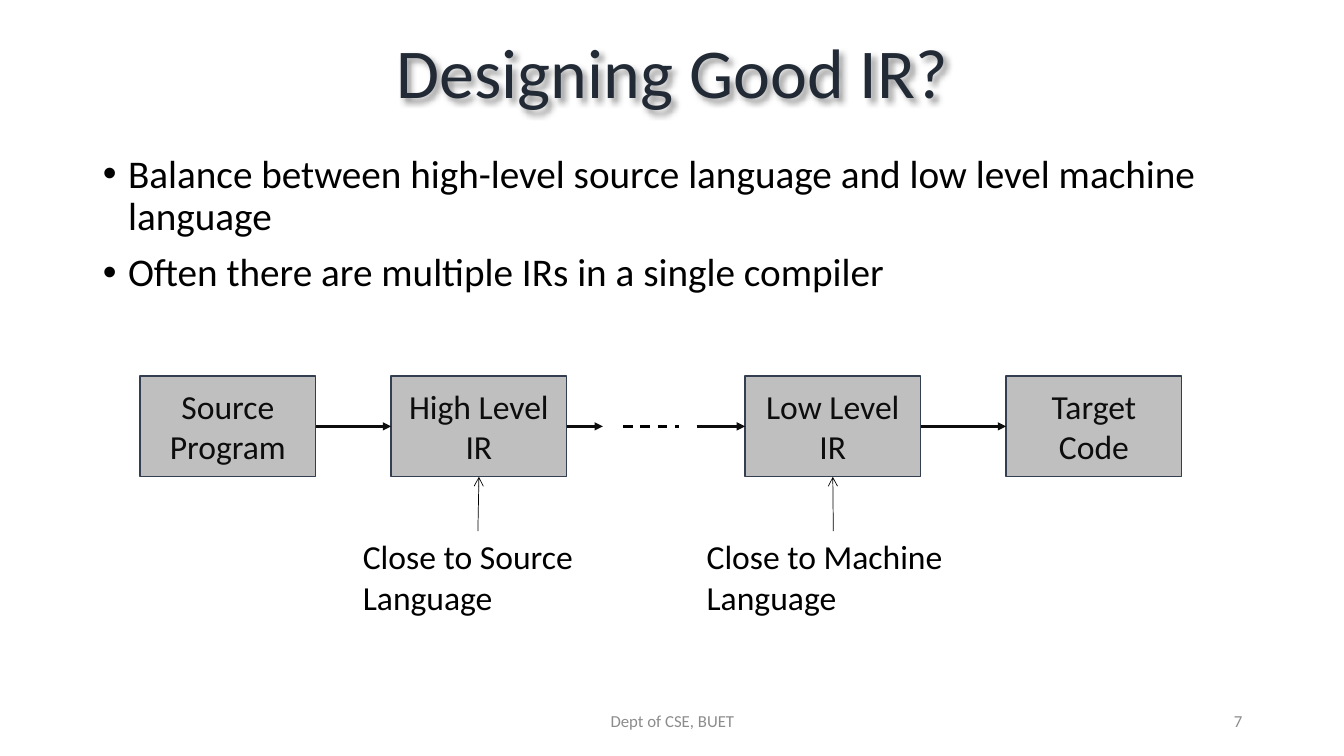
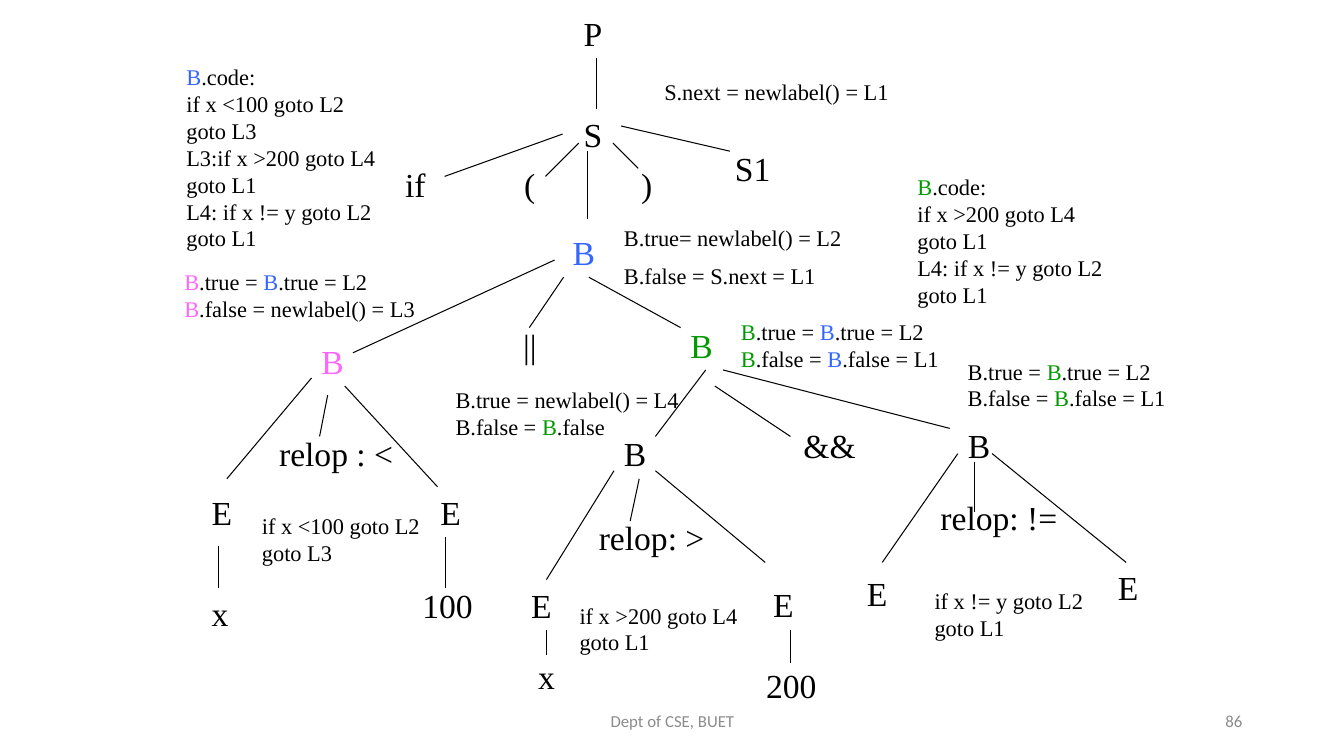
from dataclasses import dataclass

from lxml.etree import SubElement
from pptx import Presentation
from pptx.dml.color import RGBColor
from pptx.enum.dml import MSO_LINE
from pptx.enum.shapes import MSO_CONNECTOR, MSO_SHAPE
from pptx.enum.text import MSO_ANCHOR, MSO_AUTO_SIZE, PP_ALIGN
from pptx.oxml import parse_xml
from pptx.oxml.ns import nsdecls, qn
from pptx.util import Pt

PX = 9144  # 100 px to the inch
SANS, SERIF = "Calibri", "Times New Roman"
BLACK = RGBColor(0x00, 0x00, 0x00)
INK = RGBColor(0x0D, 0x0D, 0x0D)
NAVY = RGBColor(0x22, 0x2A, 0x35)
SLATE = RGBColor(0x33, 0x3F, 0x50)
SILVER = RGBColor(0xBF, 0xBF, 0xBF)
GREY = RGBColor(0x8C, 0x8C, 0x8C)
BLUE = RGBColor(0x33, 0x66, 0xFF)
PINK = RGBColor(0xFF, 0x66, 0xFF)
GREEN = RGBColor(0x00, 0x99, 0x00)
BLUE_B, PINK_B, GREEN_B = ("B", BLUE), ("B", PINK), ("B", GREEN)

TITLE_SHADOW = (
    f'<a:effectLst {nsdecls("a")}><a:outerShdw blurRad="50800" dist="38100" '
    'dir="2700000" algn="tl" rotWithShape="0"><a:srgbClr val="000000">'
    '<a:alpha val="40000"/></a:srgbClr></a:outerShdw></a:effectLst>'
)


def px(*lengths):
    return [n * PX for n in lengths]


def style(font, size, color, name=SANS):
    font.size, font.name = Pt(size), name
    font.color.rgb = color


def add_text(slide, box, lines, size, name=SANS, color=BLACK, align=PP_ALIGN.LEFT,
             anchor=MSO_ANCHOR.TOP, wrap=False, grow=True, gap=0):
    """Each line is a string or a sequence of strings and (text, colour) pairs."""
    sp = slide.shapes.add_textbox(*px(*box))
    tf = sp.text_frame
    tf.word_wrap, tf.vertical_anchor = wrap, anchor
    tf.auto_size = MSO_AUTO_SIZE.SHAPE_TO_FIT_TEXT if grow else MSO_AUTO_SIZE.NONE
    for i, line in enumerate(lines):
        p = tf.add_paragraph() if i else tf.paragraphs[0]
        p.alignment = align
        if i and gap:
            p.space_before = Pt(gap)
        for piece in [line] if isinstance(line, str) else line:
            text, run_color = (piece, color) if isinstance(piece, str) else piece
            r = p.add_run()
            r.text = text
            style(r.font, size, run_color, name)
    return sp


def add_line(slide, ends, color=BLACK, width=0.75, dash=None, head=None,
             start=None, end=None):
    """start and end are optional (shape, side) pairs to join."""
    cxn = slide.shapes.add_connector(MSO_CONNECTOR.STRAIGHT, *px(*ends))
    if start:
        cxn.begin_connect(*start)
    if end:
        cxn.end_connect(*end)
    cxn.line.color.rgb, cxn.line.width = color, Pt(width)
    if dash:
        cxn.line.dash_style = dash
    if head:
        SubElement(cxn.line._get_or_add_ln(), qn("a:tailEnd"), type=head)
    SubElement(cxn._element.spPr, qn("a:effectLst"))


def add_footer(slide, number):
    for box, text, align in (((442, 695, 450, 40), "Dept of CSE, BUET", PP_ALIGN.CENTER),
                             ((942, 695, 300, 40), str(number), PP_ALIGN.RIGHT)):
        add_text(slide, box, [text], 12, color=GREY, align=align,
                 anchor=MSO_ANCHOR.MIDDLE, wrap=True, grow=False)


def place(sp, box):
    sp.left, sp.top, sp.width, sp.height = px(*box)


def fill_title(sp, box, text):
    place(sp, box)
    sp.fill.background()
    sp._element.spPr.append(parse_xml(TITLE_SHADOW))
    tf = sp.text_frame
    tf.text, tf.vertical_anchor = text, MSO_ANCHOR.MIDDLE
    p = tf.paragraphs[0]
    p.alignment, p.line_spacing = PP_ALIGN.CENTER, 0.9
    style(p.runs[0].font, 50, NAVY)


def fill_bullets(sp, box, items):
    place(sp, box)
    tf = sp.text_frame
    tf.auto_size = MSO_AUTO_SIZE.NONE
    for i, item in enumerate(items):
        p = tf.add_paragraph() if i else tf.paragraphs[0]
        p.text, p.line_spacing = item, 0.9
        p.space_before = Pt(10 if i else 0)
        pPr = p._p.get_or_add_pPr()
        pPr.set("marL", str(25 * PX))
        pPr.set("indent", str(-25 * PX))
        SubElement(pPr, qn("a:buFont"), typeface="Arial")
        SubElement(pPr, qn("a:buChar"), char="•")
        style(p.runs[0].font, 28, BLACK)


def draw_stage(slide, box, text):
    sp = slide.shapes.add_shape(MSO_SHAPE.RECTANGLE, *px(*box))
    sp.shadow.inherit = False
    sp.fill.solid()
    sp.fill.fore_color.rgb = SILVER
    sp.line.color.rgb, sp.line.width = SLATE, Pt(1)
    tf = sp.text_frame
    tf.text, tf.word_wrap, tf.vertical_anchor = text, True, MSO_ANCHOR.MIDDLE
    p = tf.paragraphs[0]
    p.alignment = PP_ALIGN.CENTER
    style(p.runs[0].font, 24, INK)
    return sp


def draw_pipeline(slide, x, y):
    w, h = 174, 100
    mid = y + h // 2
    source, high, low, target = [
        draw_stage(slide, (x + dx, y, w, h), text)
        for dx, text in ((0, "Source Program"), (249, "High Level IR"),
                         (600, "Low Level IR"), (859, "Target Code"))]
    for x1, x2, start, end in ((w, 249, (source, 3), (high, 1)),
                               (774, 859, (low, 3), (target, 1)),
                               (423, 459, (high, 3), None),
                               (552, 600, None, (low, 1))):
        add_line(slide, (x + x1, mid, x + x2, mid), INK, 1.75, head="triangle",
                 start=start, end=end)
    add_line(slide, (x + 479, mid, x + 534, mid), width=1.75, dash=MSO_LINE.DASH)
    for dx, label_w, first, stage in ((211, 248, "Close to Source", high),
                                      (552, 271, "Close to Machine", low)):
        label = add_text(slide, (x + dx, y + 154, label_w, 91), [first, "Language"], 24)
        add_line(slide, (0, 0, 0, 0), width=0.5, head="arrow",
                 start=(label, 0), end=(stage, 2))


@dataclass
class Node:
    """Offset and incoming edge are measured from the parent's corner."""
    text: str
    offset: tuple
    edge: tuple = ()
    children: tuple = ()
    color: RGBColor = BLACK


SYMBOL_WIDTHS = {"P": 39, "S": 39, "if": 46, "(": 31, ")": 31, "S1": 55, "B": 42,
                 "||": 33, "&&": 72, "E": 40, "x": 37, "100": 70, "200": 70,
                 "relop : <": 133, "relop: >": 125, "relop: !=": 136}

LESS_TEST = Node("B", (-249, 108), (-8, 33, -208, 125), (
    Node("E", (-109, 150), (0, 42, -84, 142), (
        Node("x", (0, 100), (17, 59, 17, 100)),)),
    Node("relop : <", (-42, 92), (16, 59, 8, 100)),
    Node("E", (118, 150), (33, 50, 125, 150), (
        Node("100", (-18, 92), (15, 50, 15, 100)),)),
), PINK)
GREATER_TEST = Node("B", (-66, 108), (25, 50, -25, 116), (
    Node("E", (-92, 150), (0, 42, -67, 150), (
        Node("x", (7, 71), (25, 50, 25, 75)),)),
    Node("relop: >", (-25, 83), (25, 50, 16, 92)),
    Node("E", (148, 149), (41, 42, 150, 133), (
        Node("200", (-7, 81), (27, 51, 27, 84)),)),
))
UNEQUAL_TEST = Node("B", (275, 100), (42, 50, 267, 108), (
    Node("E", (-100, 146), (0, 33, -75, 141)),
    Node("relop: !=", (-27, 71), (17, 41, 17, 91)),
    Node("E", (149, 141), (34, 33, 167, 141)),
))
AND_TEST = Node("B", (117, 92), (26, 50, 117, 100), (
    GREATER_TEST,
    Node("&&", (112, 100), (34, 66, 109, 116)),
    UNEQUAL_TEST,
), GREEN)
CONDITION = Node("B", (-11, 117), (14, 42, 14, 109), (
    LESS_TEST,
    Node("||", (-49, 92), (1, 50, -33, 100)),
    AND_TEST,
), BLUE)
STATEMENT = Node("S", (0, 100), (23, 50, 23, 100), (
    Node("if", (-177, 50), (-11, 25, -128, 67)),
    Node("(", (-59, 50), (5, 34, -28, 67)),
    CONDITION,
    Node(")", (57, 50), (39, 34, 64, 59)),
    Node("S1", (150, 34), (47, 17, 155, 42)),
))
PROGRAM = Node("P", (0, 0), children=(STATEMENT,))

# box, lines
NOTES = (
    ((173, 261, 250, 64), ((PINK_B, ".true = ", BLUE_B, ".true = L2"),
                           (PINK_B, ".false = newlabel() = L3"))),
    ((725, 311, 217, 64), ((GREEN_B, ".true = ", BLUE_B, ".true = L2"),
                           (GREEN_B, ".false = ", BLUE_B, ".false = L1"))),
    ((442, 378, 242, 64), ("B.true = newlabel() = L4",
                           ("B.false = ", GREEN_B, ".false"))),
    ((950, 350, 217, 64), (("B.true = ", GREEN_B, ".true = L2"),
                           ("B.false = ", GREEN_B, ".false = L1"))),
    ((649, 73, 244, 37), ("S.next = newlabel() = L1",)),
    ((565, 592, 177, 64), ("if x >200 goto L4", "goto L1")),
    ((917, 578, 168, 64), ("if x != y goto L2", "goto L1")),
    ((250, 503, 177, 64), ("if x <100 goto L2", "goto L3")),
)
CODE_BLOCKS = (
    ((175, 58, 325, 264), ((BLUE_B, ".code:"), "if x <100 goto L2", "goto L3",
                           "L3:if x >200 goto L4", "goto L1",
                           "L4: if x != y goto L2", "goto L1")),
    ((900, 167, 292, 184), ((GREEN_B, ".code:"), "if x >200 goto L4", "goto L1",
                            "L4: if x != y goto L2", "goto L1")),
)


def draw_tree(slide, node, x, y):
    """Draw a node and its subtree; x, y is the parent's corner."""
    if node.edge:
        x1, y1, x2, y2 = node.edge
        add_line(slide, (x + x1, y + y1, x + x2, y + y2))
    x, y = x + node.offset[0], y + node.offset[1]
    add_text(slide, (x, y, SYMBOL_WIDTHS[node.text], 50), [node.text], 24, SERIF,
             node.color)
    for child in node.children:
        draw_tree(slide, child, x, y)


def build_design_slide(prs):
    slide = prs.slides.add_slide(prs.slide_layouts[1])
    title, body = slide.placeholders
    fill_title(title, (92, 3, 1150, 145), "Designing Good IR?")
    fill_bullets(body, (92, 148, 1150, 528), (
        "Balance between high-level source language and low level machine language",
        "Often there are multiple IRs in a single compiler"))
    draw_pipeline(slide, 139, 373)
    add_footer(slide, 7)


def build_tree_slide(prs):
    slide = prs.slides.add_slide(prs.slide_layouts[6])
    add_footer(slide, 86)
    for box, lines in CODE_BLOCKS:
        add_text(slide, box, lines, 16, SERIF, wrap=True)
    for box, lines in NOTES:
        add_text(slide, box, lines, 16, SERIF)
    add_text(slide, (609, 217, 237, 77),
             ("B.true= newlabel() = L2", "B.false = S.next = L1"), 16, SERIF, gap=8)
    draw_tree(slide, PROGRAM, 569, 8)


def main():
    prs = Presentation()
    prs.slide_width, prs.slide_height = px(1333, 750)
    build_design_slide(prs)
    build_tree_slide(prs)
    prs.save("out.pptx")


if __name__ == "__main__":
    main()
